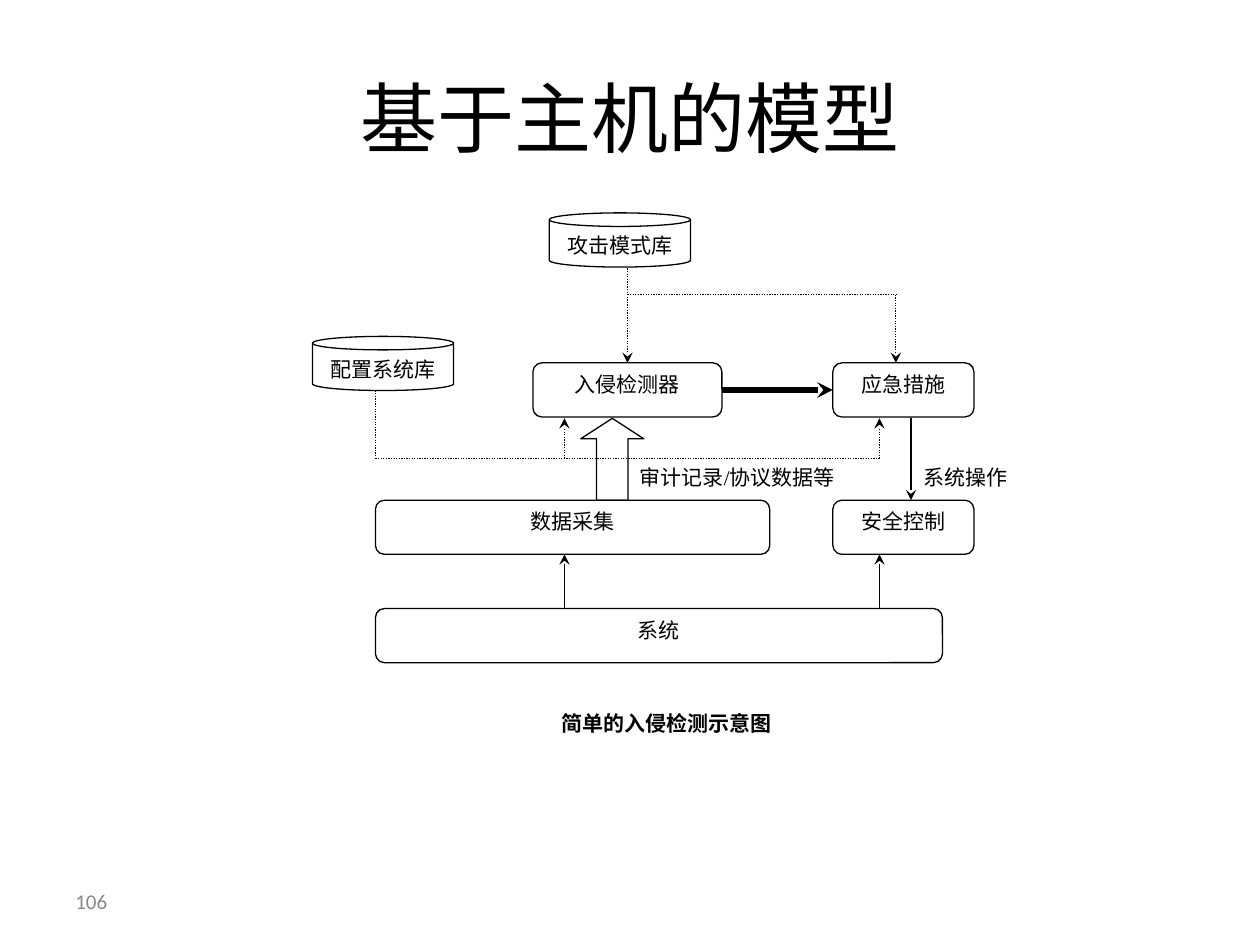
from pptx import Presentation
from pptx.dml.color import RGBColor
from pptx.enum.dml import MSO_LINE
from pptx.enum.shapes import MSO_CONNECTOR, MSO_SHAPE as SHAPE
from pptx.enum.text import MSO_ANCHOR as ANCHOR, PP_ALIGN as ALIGN
from pptx.oxml.ns import qn
from pptx.util import Inches, Pt
from lxml import etree

BLACK = RGBColor(0x00, 0x00, 0x00)
WHITE = RGBColor(0xFF, 0xFF, 0xFF)
GRAY = RGBColor(0x89, 0x89, 0x89)
BODY_FONT = "Times New Roman"
NODE_H = 0.43


def write(sp, text, size=12, font=BODY_FONT, color=BLACK, bold=False,
          align=ALIGN.LEFT, anchor=ANCHOR.TOP):
    """Put one styled paragraph into a shape."""
    tf = sp.text_frame
    tf.word_wrap = True
    tf.vertical_anchor = anchor
    p = tf.paragraphs[0]
    p.text = text
    p.alignment = align
    p.font.size, p.font.name, p.font.bold = Pt(size), font, bold
    p.font.color.rgb = color


def add_text(s, box, text, **style):
    """Add a text box with one paragraph."""
    sp = s.shapes.add_textbox(*map(Inches, box))
    write(sp, text, **style)


def add_node(s, kind, box, text="", adjustments=()):
    """Add a white outlined shape with centred text."""
    sp = s.shapes.add_shape(kind, *map(Inches, box))
    sp.shadow.inherit = False
    sp.fill.solid()
    sp.fill.fore_color.rgb = WHITE
    sp.line.color.rgb = BLACK
    sp.line.width = Pt(0.75)
    for i, value in enumerate(adjustments):
        sp.adjustments[i] = value
    if text:
        write(sp, text, align=ALIGN.CENTER)
    return sp


def add_line(s, start, end, width=0.75, dotted=False, arrow=True):
    """Add a straight black connector, with an arrowhead at its end if wanted."""
    c = s.shapes.add_connector(MSO_CONNECTOR.STRAIGHT, *map(Inches, (*start, *end)))
    c.line.color.rgb = BLACK
    c.line.width = Pt(width)
    if dotted:
        c.line.dash_style = MSO_LINE.ROUND_DOT
    if arrow:
        etree.SubElement(c.line._get_or_add_ln(), qn("a:tailEnd"), type="stealth")
    etree.SubElement(c._element.spPr, qn("a:effectLst"))
    return c


def build_title(s, box):
    """Place the slide title."""
    add_text(s, box, "基于主机的模型", size=44, font="Calibri",
             align=ALIGN.CENTER, anchor=ANCHOR.MIDDLE)


def build_page_number(s, box):
    """Place the page number."""
    add_text(s, box, "106", font="Calibri", color=GRAY, anchor=ANCHOR.MIDDLE)


def build_diagram(s, box):
    """Place the intrusion detection diagram."""
    left, top = box[:2]

    def at(x, y):
        return left + x, top + y

    def node(kind, x, y, w, text, adj):
        return add_node(s, kind, (*at(x, y), w, NODE_H), text, [adj])

    def line(x1, y1, x2, y2, **style):
        return add_line(s, at(x1, y1), at(x2, y2), **style)

    add_node(s, SHAPE.UP_ARROW, (*at(2.13, 1.63), 0.5, 0.65), adjustments=(0.5, 0.325))
    for x, y, text in ((1.88, 0, "攻击模式库"), (0, 0.98, "配置系统库")):
        node(SHAPE.CAN, x, y, 1.12, text, 0.25)
    detector, response, *_ = [
        node(SHAPE.ROUNDED_RECTANGLE, x, y, w, text, 0.167)
        for x, y, w, text in (
            (1.75, 1.19, 1.5, "入侵检测器"),
            (4.13, 1.19, 1.12, "应急措施"),
            (0.5, 2.28, 3.13, "数据采集"),
            (4.13, 2.28, 1.12, "安全控制"),
            (0.5, 3.14, 4.5, "系统"),
        )
    ]

    for x1, y1, x2, y2, arrow in (
        (2.5, 0.44, 2.5, 1.19, True),
        (2.5, 0.65, 4.63, 0.65, False),
        (4.63, 0.65, 4.63, 1.19, True),
        (0.5, 1.41, 0.5, 1.95, False),
        (0.5, 1.95, 4.5, 1.95, False),
        (4.5, 1.95, 4.5, 1.63, True),
        (2, 1.95, 2, 1.63, True),
    ):
        line(x1, y1, x2, y2, dotted=True, arrow=arrow)

    alert = line(3.25, 1.41, 4.13, 1.41, width=3)
    alert.begin_connect(detector, 3)
    alert.end_connect(response, 1)
    line(4.75, 1.63, 4.75, 2.28, width=1)
    for x in (2, 4.5):
        line(x, 3.14, x, 2.71)

    for x, y, w, text, bold in (
        (2.5, 1.95, 1.87, "审计记录/协议数据等", False),
        (4.75, 1.95, 0.87, "系统操作", False),
        (1.88, 3.9, 2, "简单的入侵检测示意图", True),
    ):
        add_text(s, (*at(x, y), w, 0.32), text, bold=bold)


def main():
    """Build and save the slide."""
    prs = Presentation()
    prs.slide_width, prs.slide_height = Inches(10), Inches(7.5)
    s = prs.slides.add_slide(prs.slide_layouts[6])
    build_page_number(s, (0.5, 6.95, 2.33, 0.4))
    build_title(s, (0.5, 0.3, 9, 1.25))
    build_diagram(s, (2.48, 1.69, 5.62, 4.22))
    prs.save("out.pptx")


if __name__ == "__main__":
    main()
